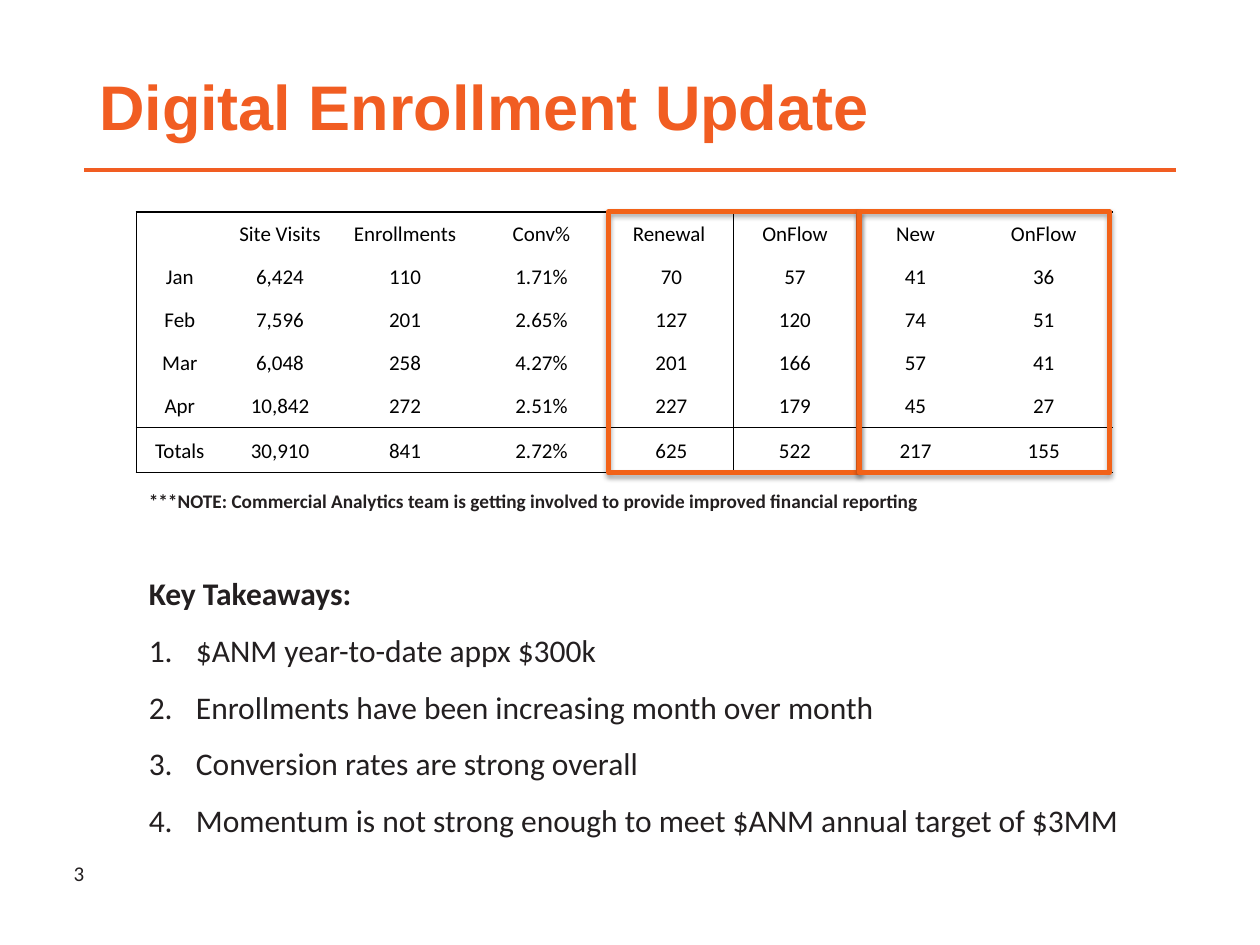
"""Build the Digital Enrollment Update slide with its monthly table and takeaways."""
from dataclasses import dataclass

from lxml.etree import SubElement
from pptx import Presentation
from pptx.dml.color import RGBColor
from pptx.enum.shapes import MSO_CONNECTOR, MSO_SHAPE
from pptx.enum.text import MSO_ANCHOR, PP_ALIGN
from pptx.oxml import parse_xml
from pptx.oxml.ns import nsdecls, qn
from pptx.util import Cm, Pt


@dataclass(frozen=True)
class Theme:
    accent: RGBColor = RGBColor(0xF1, 0x5D, 0x22)
    highlight: RGBColor = RGBColor(0xF2, 0x62, 0x18)
    ink: RGBColor = RGBColor(0x23, 0x1F, 0x20)
    black: RGBColor = RGBColor(0, 0, 0)
    heading: str = "Arial"
    body: str = "Calibri"
    title_size: Pt = Pt(36)
    takeaway_size: Pt = Pt(18)
    table_size: Pt = Pt(12)
    note_size: Pt = Pt(11)


THEME = Theme()


def write(paragraph, text, color, **font_values):
    run = paragraph.add_run()
    run.text = text
    run.font.color.rgb = color
    for key, value in font_values.items():
        setattr(run.font, key, value)


def add_frame(left, top, width, height, **frame_values):
    frame = slide.shapes.add_textbox(Cm(left), Cm(top), Cm(width), Cm(height)).text_frame
    for key, value in {"word_wrap": True, **frame_values}.items():
        setattr(frame, key, value)
    return frame


deck = Presentation()
deck.slide_width, deck.slide_height = Cm(25.4), Cm(19.05)
slide = deck.slides.add_slide(deck.slide_layouts[6])

title_rule = slide.shapes.add_connector(
    MSO_CONNECTOR.STRAIGHT, Cm(1.7), Cm(3.43), Cm(23.7), Cm(3.43))
title_rule.line.color.rgb = THEME.accent
title_rule.line.width = Pt(2)
SubElement(title_rule._element.spPr, qn("a:effectLst"))

no_margins = dict.fromkeys(("margin_left", "margin_right", "margin_top", "margin_bottom"), 0)
page_number = add_frame(0, 17.35, 1.7, 1.7, **no_margins).paragraphs[0]
page_number.alignment = PP_ALIGN.RIGHT
write(page_number, "3", THEME.ink, name=THEME.body, size=THEME.table_size)

title = add_frame(1.75, 1.17, 22.02, 1.85, vertical_anchor=MSO_ANCHOR.BOTTOM).paragraphs[0]
write(title, "Digital Enrollment Update", THEME.accent,
      name=THEME.heading, size=THEME.title_size, bold=True)

enrollment_rows = [
    ["", "Site Visits", "Enrollments", "Conv%", "Renewal ", "OnFlow", "New", "OnFlow"],
    ["Jan", "6,424", "110", "1.71%", "70", "57", "41", "36"],
    ["Feb", "7,596", "201", "2.65%", "127", "120", "74", "51"],
    ["Mar", "6,048", "258", "4.27%", "201", "166", "57", "41"],
    ["Apr", "10,842", "272", "2.51%", "227", "179", "45", "27"],
    ["Totals", "30,910", "841", "2.72%", "625", "522", "217", "155"],
]
column_widths = [1.75, 2.29, 2.75, 2.75, 2.49, 2.49, 2.37, 2.8]
row_heights = [0.87] * 5 + [0.91]
left, top = 2.75, 4.27
enrollment = slide.shapes.add_table(
    len(row_heights), len(column_widths), Cm(left), Cm(top),
    Cm(sum(column_widths)), Cm(sum(row_heights))).table
enrollment.first_row = enrollment.horz_banding = False
enrollment._tbl.tblPr.find(qn("a:tableStyleId")).text = "{2D5ABB26-0587-4C30-8999-92F81FD0307C}"
for column, width in zip(enrollment.columns, column_widths):
    column.width = Cm(width)
for row, height in zip(enrollment.rows, row_heights):
    row.height = Cm(height)

cell_format = {
    "vertical_anchor": MSO_ANCHOR.MIDDLE, "margin_left": Cm(0.03),
    "margin_right": Cm(0.03), "margin_top": Cm(0.03), "margin_bottom": 0,
}
totals = len(enrollment_rows) - 1
for r, values in enumerate(enrollment_rows):
    for c, value in enumerate(values):
        cell = enrollment.cell(r, c)
        for key, setting in cell_format.items():
            setattr(cell, key, setting)
        paragraph = cell.text_frame.paragraphs[0]
        paragraph.alignment = PP_ALIGN.CENTER
        write(paragraph, value, THEME.black, name=THEME.body, size=THEME.table_size)
        border_points = {
            "lnL": {0: 1, 4: 0.5}.get(c),
            "lnR": {3: 0.5}.get(c),
            "lnT": {0: 1, totals: 0.5}.get(r),
            "lnB": {totals - 1: 0.5, totals: 1}.get(r),
        }
        for side, points in border_points.items():
            if points:
                cell._tc.get_or_add_tcPr().append(parse_xml(
                    f'<a:{side} {nsdecls("a")} w="{Pt(points)}"><a:solidFill>'
                    f'<a:srgbClr val="{THEME.black}"/></a:solidFill></a:{side}>'))
        cell.fill.background()

group_width = 5.05
for group in range(2):
    group_frame = slide.shapes.add_shape(
        MSO_SHAPE.RECTANGLE, Cm(12.27 + group * group_width), Cm(top),
        Cm(group_width), Cm(sum(row_heights)))
    group_frame.fill.background()
    group_frame.line.color.rgb = THEME.highlight
    group_frame.line.width = Pt(3)
    group_frame._element.spPr.append(parse_xml(
        f'<a:effectLst {nsdecls("a")}><a:outerShdw blurRad="{Pt(3.1)}" dist="{Pt(1.8)}" '
        f'dir="5400000" rotWithShape="0"><a:srgbClr val="{THEME.black}">'
        '<a:alpha val="35000"/></a:srgbClr></a:outerShdw></a:effectLst>'))

takeaways = [
    "Key Takeaways:",
    "$ANM year-to-date appx $300k",
    "Enrollments have been increasing month over month",
    "Conversion rates are strong overall",
    "Momentum is not strong enough to meet $ANM annual target of $3MM",
]
takeaway_frame = add_frame(left, 11.07, 22.3, 8.33 - 0.4)
for index, takeaway in enumerate(takeaways):
    paragraph = takeaway_frame.add_paragraph() if index else takeaway_frame.paragraphs[0]
    paragraph.line_spacing = 1.5
    write(paragraph, takeaway, THEME.ink,
          name=THEME.body, size=THEME.takeaway_size, bold=index == 0)
    if index:
        properties = paragraph._p.get_or_add_pPr()
        properties.set("marL", str(Cm(0.95)))
        properties.set("indent", str(-Cm(0.95)))
        SubElement(properties, qn("a:buFont"), typeface="+mj-lt")
        SubElement(properties, qn("a:buAutoNum"), type="arabicPeriod")

note = add_frame(left, 9.73, 19.7, 0.74).paragraphs[0]
write(note, "***NOTE: Commercial Analytics team is getting involved to provide "
      "improved financial reporting", THEME.ink,
      name=THEME.body, size=THEME.note_size, bold=True)

deck.save("out.pptx")
